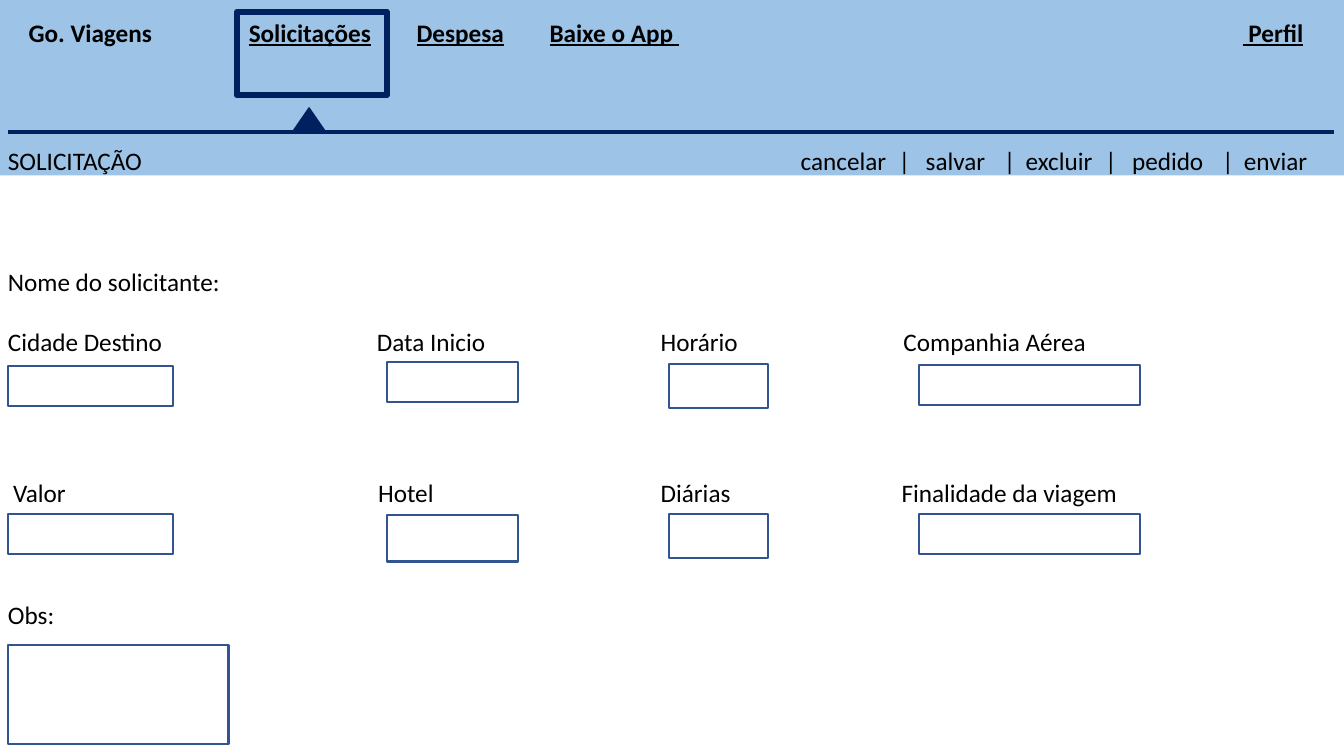
from lxml.etree import SubElement
from pptx import Presentation
from pptx.dml.color import RGBColor as Rgb
from pptx.enum.shapes import MSO_CONNECTOR as Link, MSO_SHAPE as Kind
from pptx.oxml.ns import qn
from pptx.util import Cm, Pt

INK = {"text": "000000", "band": "9DC3E6", "navy": "002060", "field": "325491"}
WIDTH, HEIGHT = 33.87, 19.05


def style(run, text, size=18, bold=False, under=False, color="text"):
    run.text = text
    font = run.font
    font.name, font.size = "Calibri", Pt(size)
    font.bold, font.underline = bold, under
    font.color.rgb = Rgb.from_string(INK[color])


class Page:
    def __init__(self, slide):
        self.shapes = slide.shapes

    def box(self, x, y, w, h, kind=Kind.RECTANGLE, fill=None, line=None, width=1.5):
        shape = self.shapes.add_shape(kind, Cm(x), Cm(y), Cm(w), Cm(h))
        shape.shadow.inherit = False
        if fill:
            shape.fill.solid()
            shape.fill.fore_color.rgb = Rgb.from_string(INK[fill])
        else:
            shape.fill.background()
        if line:
            shape.line.color.rgb = Rgb.from_string(INK[line])
            shape.line.width = Pt(width)
        else:
            shape.line.fill.background()

    def rule(self, x1, y1, x2, y2, color, width):
        line = self.shapes.add_connector(Link.STRAIGHT, Cm(x1), Cm(y1), Cm(x2), Cm(y2))
        line.line.color.rgb = Rgb.from_string(INK[color])
        line.line.width = Pt(width)
        SubElement(line._element.spPr, qn("a:effectLst"))

    def row(self, y, items, **look):
        """One line of text; each item is (x, text, own format), set at a tab stop."""
        left = items[0][0]
        frame = self.shapes.add_textbox(
            Cm(left), Cm(y), Cm(WIDTH - left), Cm(0.77)).text_frame
        frame.word_wrap = True
        frame.margin_left = frame.margin_right = 0
        frame.margin_top = frame.margin_bottom = 0
        para = frame.paragraphs[0]
        if len(items) > 1:
            tabs = SubElement(para._p.get_or_add_pPr(), qn("a:tabLst"))
        for x, text, *own in items:
            if x > left:
                SubElement(tabs, qn("a:tab"), pos=str(int(Cm(x - left))), algn="l")
                style(para.add_run(), "\t", **look)
            style(para.add_run(), text, **look, **(own[0] if own else {}))


deck = Presentation()
deck.slide_width, deck.slide_height = Cm(WIDTH), Cm(HEIGHT)
page = Page(deck.slides.add_slide(deck.slide_layouts[6]))

# Header band and menu
page.box(0, 0, WIDTH, 4.42, fill="band")
link = {"under": True}
page.row(0.43, [(0.72, "Go. Viagens"), (6.27, "Solicitações", link),
                (10.5, "Despesa", link), (13.85, "Baixe o App ", link),
                (31.32, " Perfil", link)], bold=True)

# Mark of the open tab
page.box(5.97, 0.3, 3.78, 2.1, line="navy", width=4.5)
page.rule(0.2, 3.33, 33.63, 3.33, "navy", 3)
page.box(7.37, 2.72, 0.84, 0.61, Kind.ISOSCELES_TRIANGLE, "navy", "navy", 1)

# Title and actions
page.row(3.66, [(0.2, "SOLICITAÇÃO"), (20.18, "cancelar"), (22.65, "|"),
                (23.33, "salvar"), (25.3, "|"), (25.85, "excluir"), (27.85, "|"),
                (28.53, "pedido"), (30.8, "|"), (31.35, "enviar")])

# Form labels
page.row(6.71, [(0.2, "Nome do solicitante:")])
page.row(8.23, [(0.2, "Cidade Destino"), (9.5, "Data Inicio"),
                (16.65, "Horário"), (22.77, "Companhia Aérea")])
page.row(12.04, [(0.33, "Valor"), (9.53, "Hotel"),
                 (16.65, "Diárias"), (22.72, "Finalidade da viagem")])
page.row(15.09, [(0.2, "Obs:")])

# Form fields: columns as (x, width), then (y, height) for each row
cols = [(0.2, 4.17), (9.75, 3.3), (16.86, 2.49), (23.16, 5.56)]
rows = [[(9.22, 1.02), (9.12, 1.02), (9.17, 1.12), (9.19, 1.02)],
        [(12.95, 1.02), (12.98, 1.17), (12.95, 1.12), (12.95, 1.02)]]
for cells in rows:
    for (x, w), (y, h) in zip(cols, cells):
        page.box(x, y, w, h, line="field")
page.box(0.2, 16.26, 5.56, 2.49, line="field")

deck.save("out.pptx")
